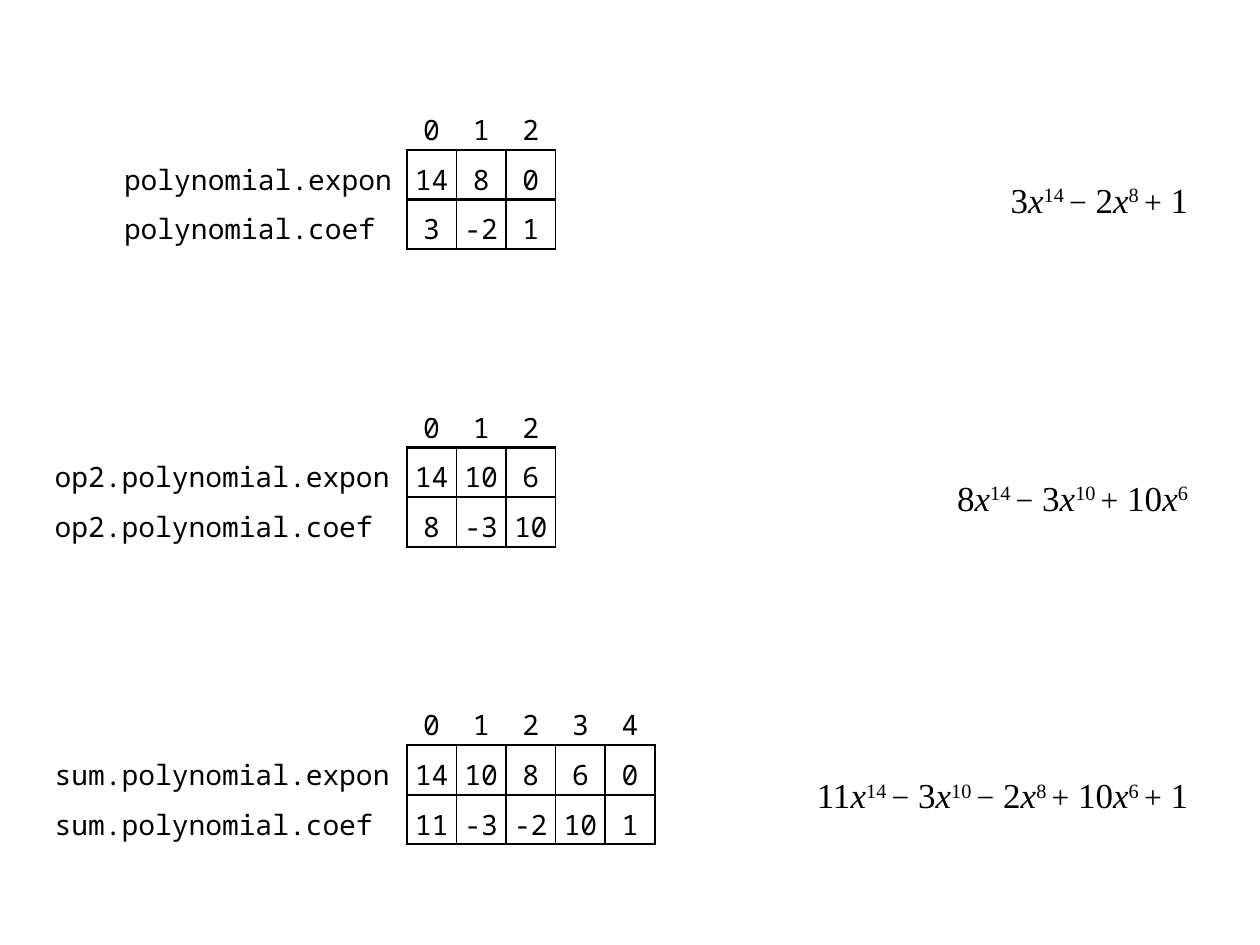
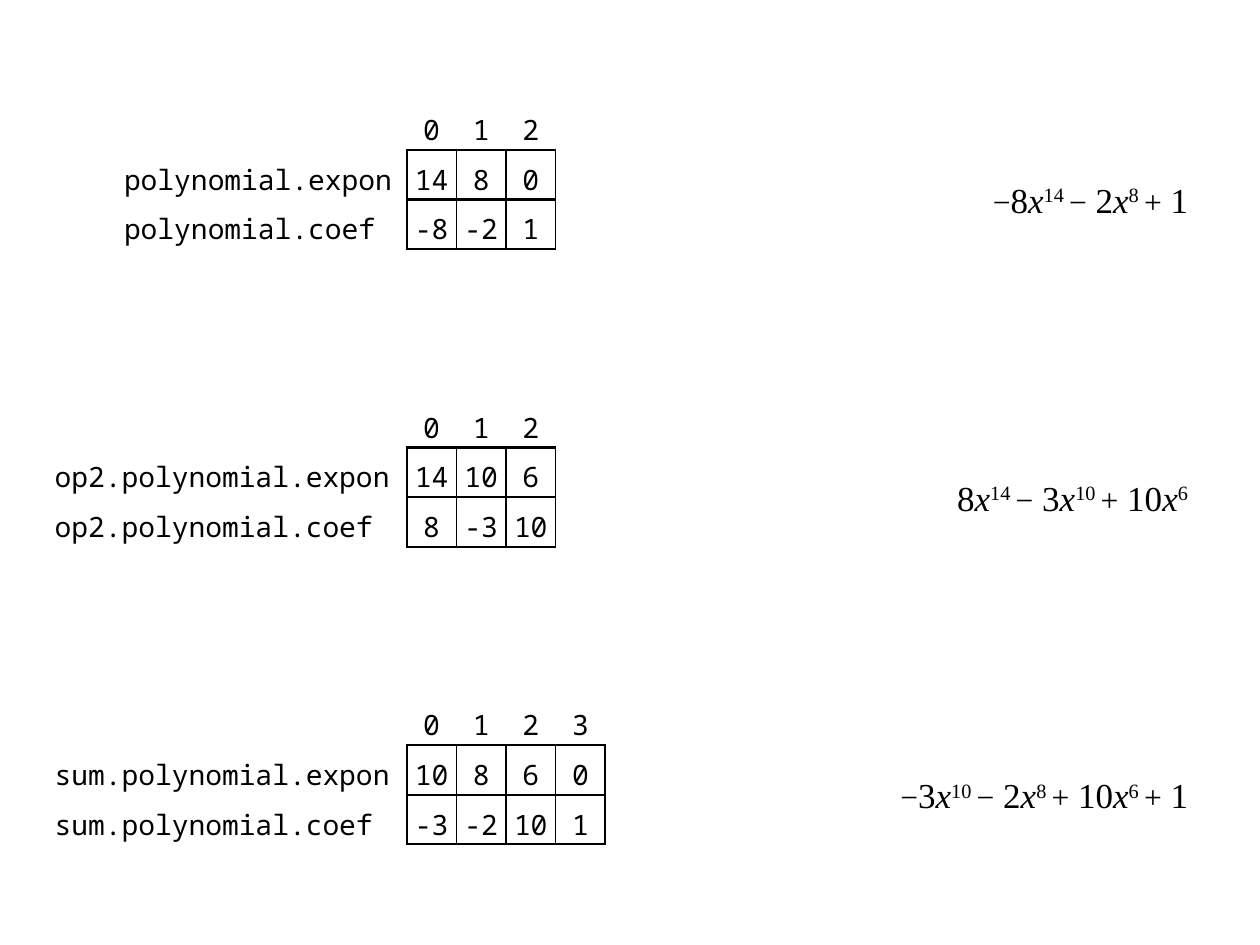
from lxml.etree import SubElement
from pptx import Presentation
from pptx.dml.color import RGBColor
from pptx.enum.text import MSO_ANCHOR, PP_ALIGN
from pptx.oxml.ns import qn
from pptx.util import Emu, Pt

COLORS = {"ink": "000000"}
CODE_FONT = "Noto Sans Mono"
MATH_FONT = "Times New Roman"
THIN, THICK = 1, 1.5
UNIT = 100
ARRAY_LEFT = 820
FORMULA_RIGHT = 2420
FIRST_TOP, BLOCK_STEP = 202, 600
INSET = 25

NAMES = [
    ("polynomial", 600, 30),
    ("op2.polynomial", 750, 40),
    ("sum.polynomial", 750, 40),
]
SECOND_OPERAND = [(8, 14), (-3, 10), (10, 6)]
ADDITIONS = [
    [
        ([(3, 14), (-2, 8), (1, 0)], 500),
        (SECOND_OPERAND, 600),
        ([(11, 14), (-3, 10), (-2, 8), (10, 6), (1, 0)], 900),
    ],
    [
        ([(-8, 14), (-2, 8), (1, 0)], 550),
        (SECOND_OPERAND, 600),
        ([(-3, 10), (-2, 8), (10, 6), (1, 0)], 900),
    ],
]


def px(length):
    return Emu(length * 3600)


def set_font(paragraph, name, size=None):
    paragraph.font.name = name
    paragraph.font.color.rgb = RGBColor.from_string(COLORS["ink"])
    if size:
        paragraph.font.size = Pt(size)


def set_borders(cell, left=0, right=0, top=0, bottom=0):
    properties = cell._tc.get_or_add_tcPr()
    for side, width in zip("LRTB", (left, right, top, bottom)):
        line = SubElement(properties, qn(f"a:ln{side}"), w=str(Pt(width)))
        if width:
            fill = SubElement(line, qn("a:solidFill"))
            SubElement(fill, qn("a:srgbClr"), val=COLORS["ink"])
        else:
            SubElement(line, qn("a:noFill"))


def fill_cell(cell, text, borders, align=PP_ALIGN.CENTER, left=0, right=0):
    set_borders(cell, **borders)
    cell.fill.background()
    cell.vertical_anchor = MSO_ANCHOR.MIDDLE
    cell.margin_left, cell.margin_right = px(left), px(right)
    cell.margin_top = cell.margin_bottom = 0
    paragraph = cell.text_frame.paragraphs[0]
    if text:
        paragraph.add_run().text = text
    paragraph.alignment = align
    paragraph.line_spacing = 1.25
    set_font(paragraph, CODE_FONT, 16)


def add_arrays(slide, name, label_width, label_inset, terms, top):
    coefficients, exponents = zip(*terms)
    widths = [label_width] + [UNIT] * len(terms)
    table = slide.shapes.add_table(
        3, len(widths), px(ARRAY_LEFT - label_width), px(top),
        px(sum(widths)), px(3 * UNIT)).table
    table.first_row = table.horz_banding = False
    for column, width in zip(table.columns, widths):
        column.width = px(width)
    for row in table.rows:
        row.height = px(UNIT)

    fill_cell(table.cell(0, 0), "", {})
    for index in range(len(terms)):
        fill_cell(table.cell(0, index + 1), str(index), {"bottom": THICK})
    for row, (field, values) in enumerate(
            [("expon", exponents), ("coef", coefficients)], start=1):
        fill_cell(table.cell(row, 0), f"{name}.{field}", {"right": THICK},
                  PP_ALIGN.LEFT, label_inset, INSET)
        for index, value in enumerate(values):
            borders = {"left": THIN if index else THICK, "right": THIN,
                       "top": THICK, "bottom": THICK}
            fill_cell(table.cell(row, index + 1), str(value), borders)


def add_run(paragraph, text, size=20, italic=False, raised=False):
    run = paragraph.add_run()
    run.text = text
    run.font.size = Pt(size)
    if italic:
        run.font.italic = True
    if raised:
        run._r.get_or_add_rPr().set("baseline", "30000")


def add_formula(slide, terms, width, top):
    box = slide.shapes.add_textbox(
        px(FORMULA_RIGHT - width), px(top), px(width), px(UNIT))
    frame = box.text_frame
    frame.word_wrap = True
    frame.vertical_anchor = MSO_ANCHOR.MIDDLE
    frame.margin_left = frame.margin_right = px(INSET)
    frame.margin_top = frame.margin_bottom = 0
    paragraph = frame.paragraphs[0]
    paragraph.alignment = PP_ALIGN.RIGHT
    spacing = SubElement(paragraph._p.get_or_add_pPr(), qn("a:spcBef"))
    SubElement(spacing, qn("a:spcPct"), val="50000")
    set_font(paragraph, MATH_FONT)

    for index, (coefficient, exponent) in enumerate(terms):
        if index or coefficient < 0:
            add_run(paragraph, "−" if coefficient < 0 else "+", 18)
        add_run(paragraph, f"{' ' if index else ''}{abs(coefficient)}")
        if exponent:
            gap = " " if index < len(terms) - 1 else ""
            add_run(paragraph, "x", italic=True)
            add_run(paragraph, f"{exponent}{gap}", raised=True)


def add_addition(presentation, addition):
    slide = presentation.slides.add_slide(presentation.slide_layouts[6])
    tops = [FIRST_TOP + BLOCK_STEP * index for index in range(len(addition))]
    for (terms, width), top in zip(addition, tops):
        add_formula(slide, terms, width, top + 3 * UNIT // 2)
    for name, (terms, _), top in zip(NAMES, addition, tops):
        add_arrays(slide, *name, terms, top)


def main():
    presentation = Presentation()
    presentation.slide_width, presentation.slide_height = px(2540), px(1905)
    for addition in ADDITIONS:
        add_addition(presentation, addition)
    presentation.save("out.pptx")


if __name__ == "__main__":
    main()
